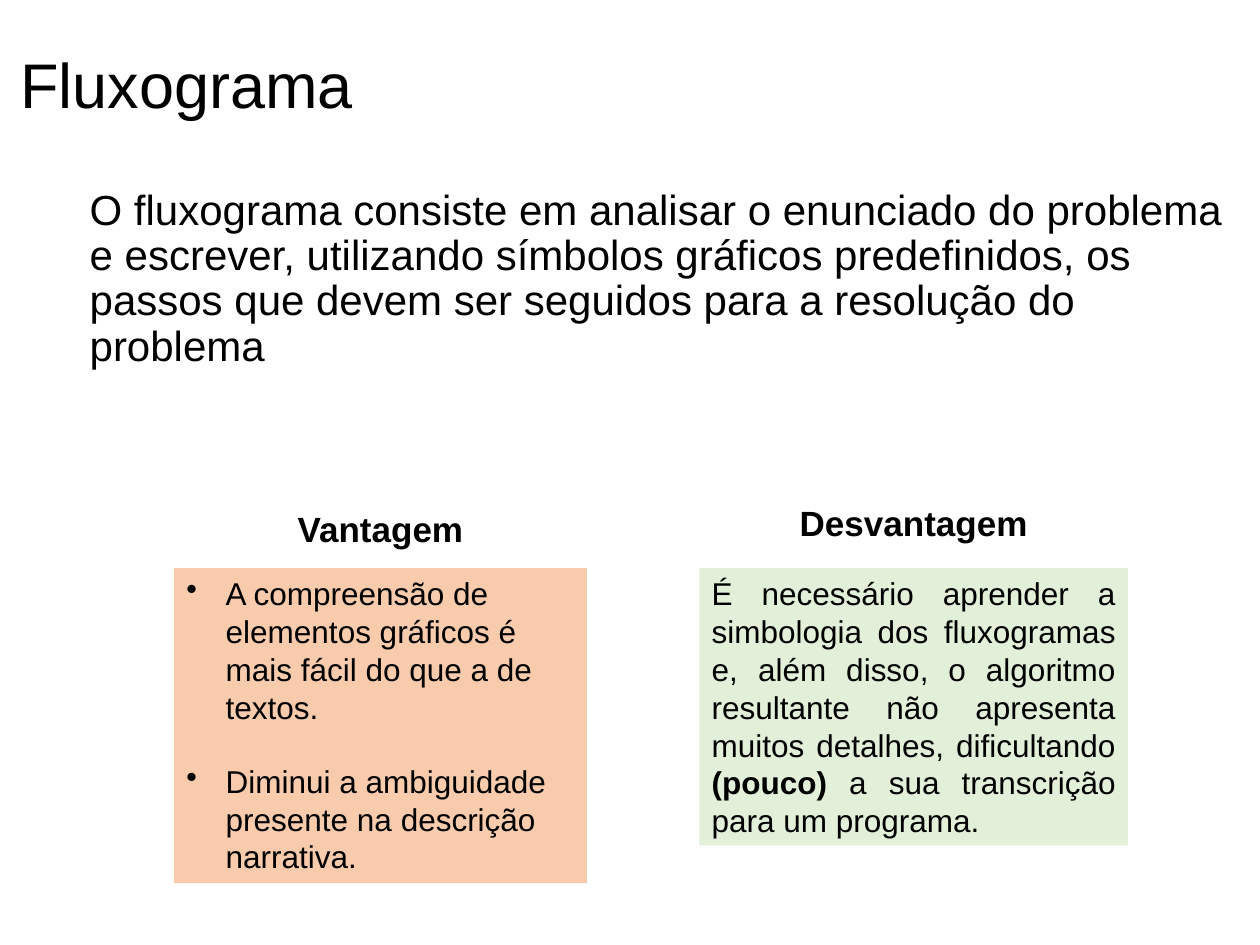
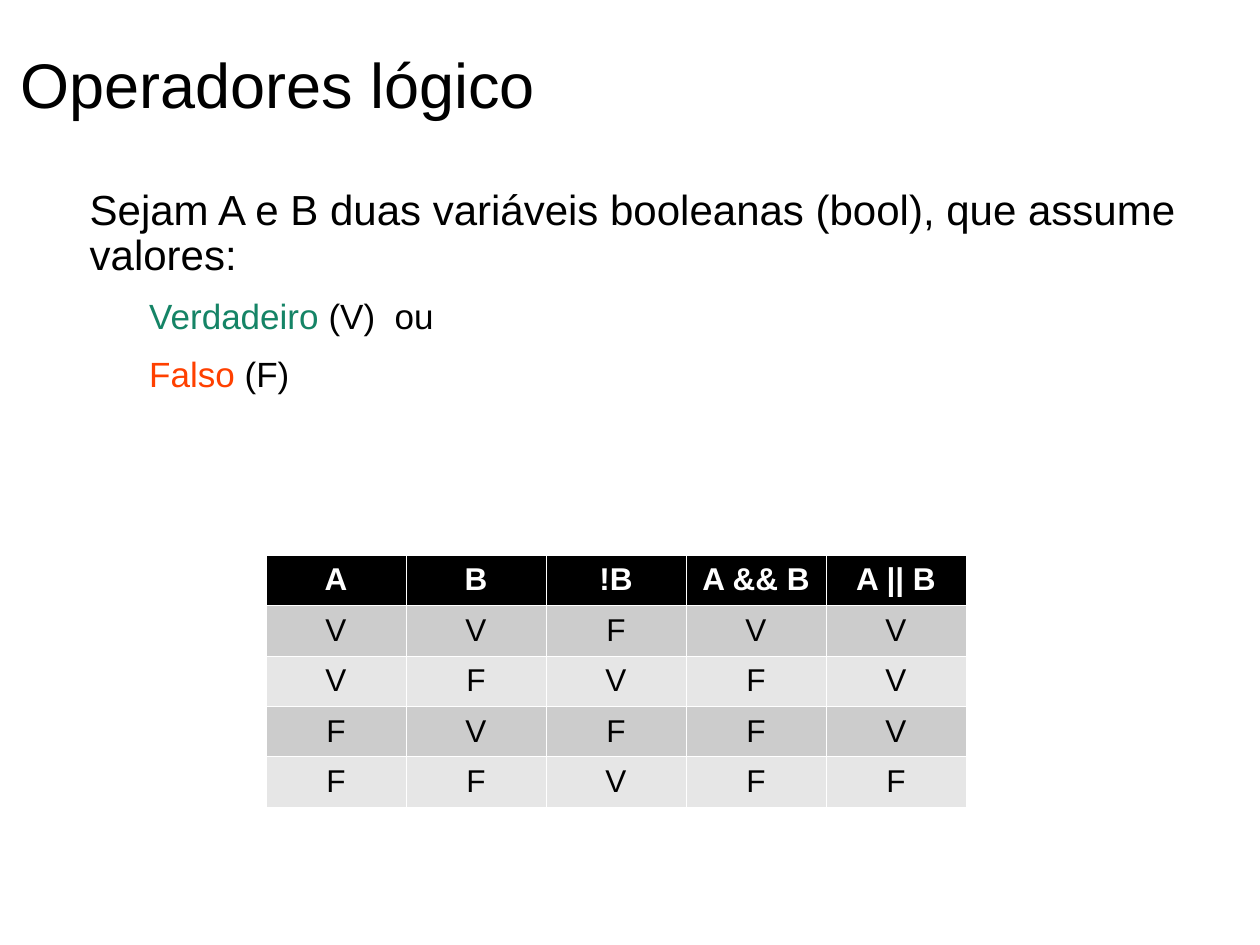
import pptx
import pptx.dml.color
import pptx.enum.shapes
import pptx.enum.text
import pptx.oxml
import pptx.oxml.ns
import pptx.util

Pt = pptx.util.Pt
ALIGN = pptx.enum.text.PP_ALIGN
ANCHOR = pptx.enum.text.MSO_ANCHOR

# Content: a paragraph is a list of spans, a span is (text, changes)
FLOWCHART_TITLE = "Fluxograma"
FLOWCHART_BODY = [
    (0, [("O fluxograma consiste em analisar o enunciado do problema e escrever, utilizando "
          "símbolos gráficos predefinidos, os passos que devem ser seguidos para a resolução "
          "do problema", {})]),
]
PANELS = [
    dict(heading="Vantagem", heading_top=286.5, heading_width=109,
         left=99.4, width=236, height=180, fill="F8CBAD", bulleted=True, align=ALIGN.LEFT,
         paragraphs=[
             [("A compreensão de elementos gráficos é mais fácil do que a de textos.", {})],
             [("Diminui a ambiguidade presente na descrição narrativa.", {})],
         ]),
    dict(heading="Desvantagem", heading_top=283, heading_width=145,
         left=399.6, width=245, height=158.4, fill="E2F0D9", bulleted=False,
         align=ALIGN.JUSTIFY,
         paragraphs=[
             [("É necessário aprender a simbologia dos fluxogramas e, além disso, o algoritmo "
               "resultante não apresenta muitos detalhes, dificultando ", {}),
              ("(pouco)", {"bold": True}),
              (" a sua transcrição para um programa.", {})],
         ]),
]

LOGIC_TITLE = "Operadores lógico"
LOGIC_BODY = [
    (0, [("Sejam A e B duas variáveis booleanas (bool), que assume valores:", {})]),
    (1, [("Verdadeiro", {"color": "158466"}), (" (V)  ou", {})]),
    (1, [("Falso", {"color": "FF4000"}), (" (F)", {})]),
]
TRUTH_TABLE = [
    ["A", "B", "!B", "A && B", "A || B"],
    ["V", "V", "F", "V", "V"],
    ["V", "F", "V", "F", "V"],
    ["F", "V", "F", "F", "V"],
    ["F", "F", "V", "F", "F"],
]

# Shared style
FONT = "Arial"
BLACK, WHITE = "000000", "FFFFFF"
HEADER_FILL, ROW_FILLS = BLACK, ("CCCCCC", "E6E6E6")
BODY_SIZES = (24, 20)
BODY_INDENT = 34
PANEL_TOP = 324.7
PANEL_SIZE = 18
PANEL_INDENT = 22.5
PANEL_GAP = 20.7
CELL_WIDTH, CELL_HEIGHT = 80, 27.5
INSETS = (7.2, 3.6)


def rgb(value):
    return pptx.dml.color.RGBColor.from_string(value)


def add_spans(para, spans, size, color=BLACK, bold=False):
    for text, changes in spans:
        span = para.add_run()
        span.text = text
        span.font.name = FONT
        span.font.size = Pt(size)
        span.font.bold = changes.get("bold", bold)
        span.font.color.rgb = rgb(changes.get("color", color))


def paragraphs_of(frame, count):
    return [frame.paragraphs[0]] + [frame.add_paragraph() for _ in range(count - 1)]


def set_frame(frame, insets=(0, 0), anchor=ANCHOR.TOP, wrap=True):
    frame.margin_left = frame.margin_right = Pt(insets[0])
    frame.margin_top = frame.margin_bottom = Pt(insets[1])
    frame.vertical_anchor = anchor
    frame.word_wrap = wrap


def set_indent(para, left, bullet=None):
    properties = para._p.get_or_add_pPr()
    properties.set("marL", str(Pt(left)))
    if bullet:
        properties.set("indent", str(-Pt(left)))
        mark = pptx.oxml.parse_xml(
            f'<a:buChar {pptx.oxml.ns.nsdecls("a")} char="{bullet}"/>')
        properties.append(mark)


def add_text_box(page, left, top, width, height, **frame_options):
    box = page.shapes.add_textbox(Pt(left), Pt(top), Pt(width), Pt(height))
    set_frame(box.text_frame, **frame_options)
    return box.text_frame


def add_page(deck, title, body):
    page = deck.slides.add_slide(deck.slide_layouts[6])
    frame = add_text_box(page, 11.5, 9.4, 702.7, 76.3, anchor=ANCHOR.MIDDLE)
    add_spans(frame.paragraphs[0], [(title, {})], 36)

    frame = add_text_box(page, 17.3, 108, 692, 414)
    paras = paragraphs_of(frame, len(body))
    for index, (para, (level, spans)) in enumerate(zip(paras, body)):
        set_indent(para, BODY_INDENT * (level + 1))
        para.line_spacing = 0.9
        para.space_before = Pt(11.3 if index else 0)
        add_spans(para, spans, BODY_SIZES[level])
    return page


def add_panel(page, panel):
    # Heading centred over its panel
    heading_left = panel["left"] + (panel["width"] - panel["heading_width"]) / 2
    frame = add_text_box(page, heading_left, panel["heading_top"], panel["heading_width"], 31,
                         insets=INSETS, wrap=False)
    frame.paragraphs[0].alignment = ALIGN.CENTER
    add_spans(frame.paragraphs[0], [(panel["heading"], {})], 20, bold=True)

    # Filled panel
    box = page.shapes.add_shape(pptx.enum.shapes.MSO_SHAPE.RECTANGLE, Pt(panel["left"]),
                                Pt(PANEL_TOP), Pt(panel["width"]), Pt(panel["height"]))
    box.shadow.inherit = False
    box.fill.solid()
    box.fill.fore_color.rgb = rgb(panel["fill"])
    box.line.fill.background()
    set_frame(box.text_frame, INSETS)
    paras = paragraphs_of(box.text_frame, len(panel["paragraphs"]))
    for index, (para, spans) in enumerate(zip(paras, panel["paragraphs"])):
        if panel["bulleted"]:
            set_indent(para, PANEL_INDENT, "•")
        para.alignment = panel["align"]
        para.space_before = Pt(PANEL_GAP if index else 0)
        add_spans(para, spans, PANEL_SIZE)


def set_borders(cell, color, width):
    properties = cell._tc.get_or_add_tcPr()
    for position, side in enumerate(("lnL", "lnR", "lnT", "lnB")):
        border = pptx.oxml.parse_xml(
            f'<a:{side} {pptx.oxml.ns.nsdecls("a")} w="{Pt(width)}">'
            f'<a:solidFill><a:srgbClr val="{color}"/></a:solidFill></a:{side}>')
        properties.insert(position, border)


def add_truth_table(page, rows, left, top):
    columns = len(rows[0])
    table = page.shapes.add_table(len(rows), columns, Pt(left), Pt(top),
                                  Pt(CELL_WIDTH * columns), Pt(CELL_HEIGHT * len(rows))).table
    for column in table.columns:
        column.width = Pt(CELL_WIDTH)
    for row_index, values in enumerate(rows):
        table.rows[row_index].height = Pt(CELL_HEIGHT)
        header = row_index == 0
        for column_index, value in enumerate(values):
            cell = table.cell(row_index, column_index)
            cell.fill.solid()
            cell.fill.fore_color.rgb = rgb(
                HEADER_FILL if header else ROW_FILLS[(row_index - 1) % 2])
            set_borders(cell, WHITE, 0.06)
            cell.vertical_anchor = ANCHOR.MIDDLE
            para = cell.text_frame.paragraphs[0]
            para.alignment = ALIGN.CENTER
            add_spans(para, [(value, {})], 18, WHITE if header else BLACK, header)


def main():
    deck = pptx.Presentation()
    deck.slide_width, deck.slide_height = Pt(720), Pt(540)

    # Flowchart: definition, advantage and disadvantage
    page = add_page(deck, FLOWCHART_TITLE, FLOWCHART_BODY)
    for panel in PANELS:
        add_panel(page, panel)

    # Logical operators: definition and truth table
    page = add_page(deck, LOGIC_TITLE, LOGIC_BODY)
    add_truth_table(page, TRUTH_TABLE, 152, 317)

    deck.save("out.pptx")


if __name__ == "__main__":
    main()
